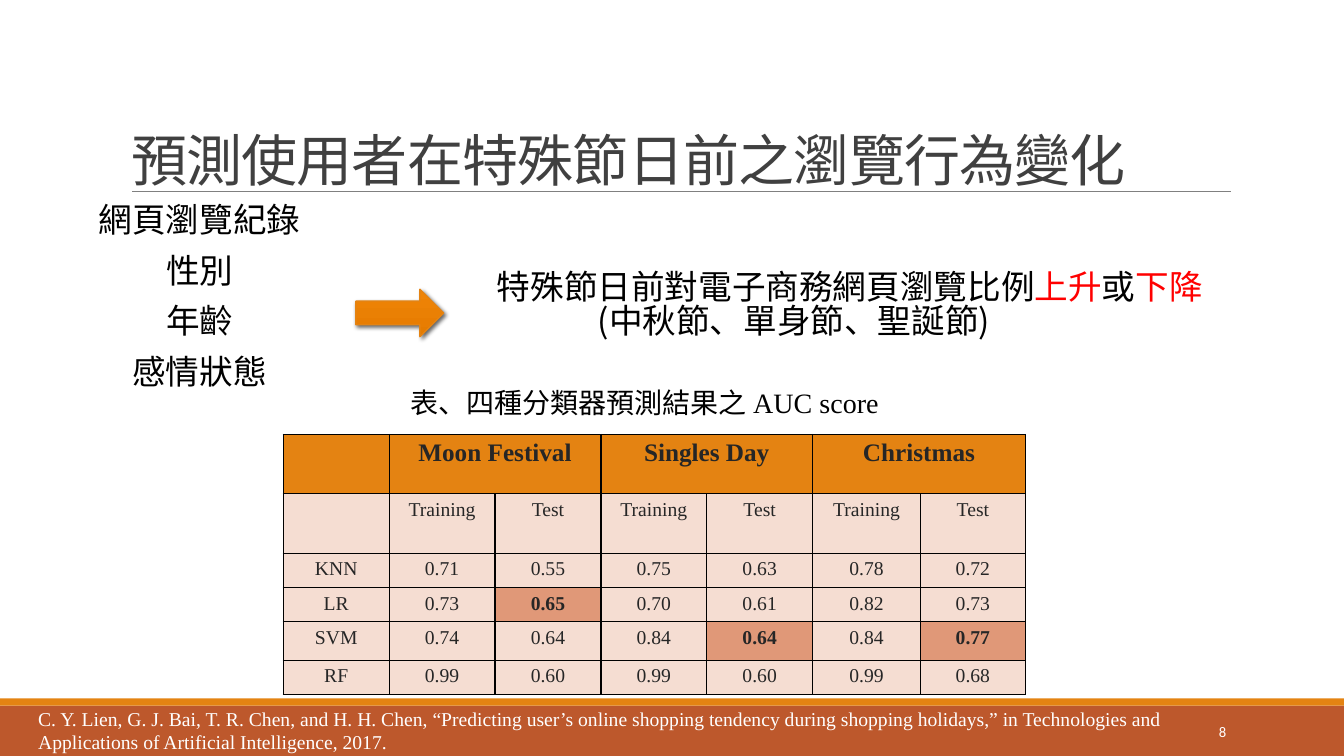
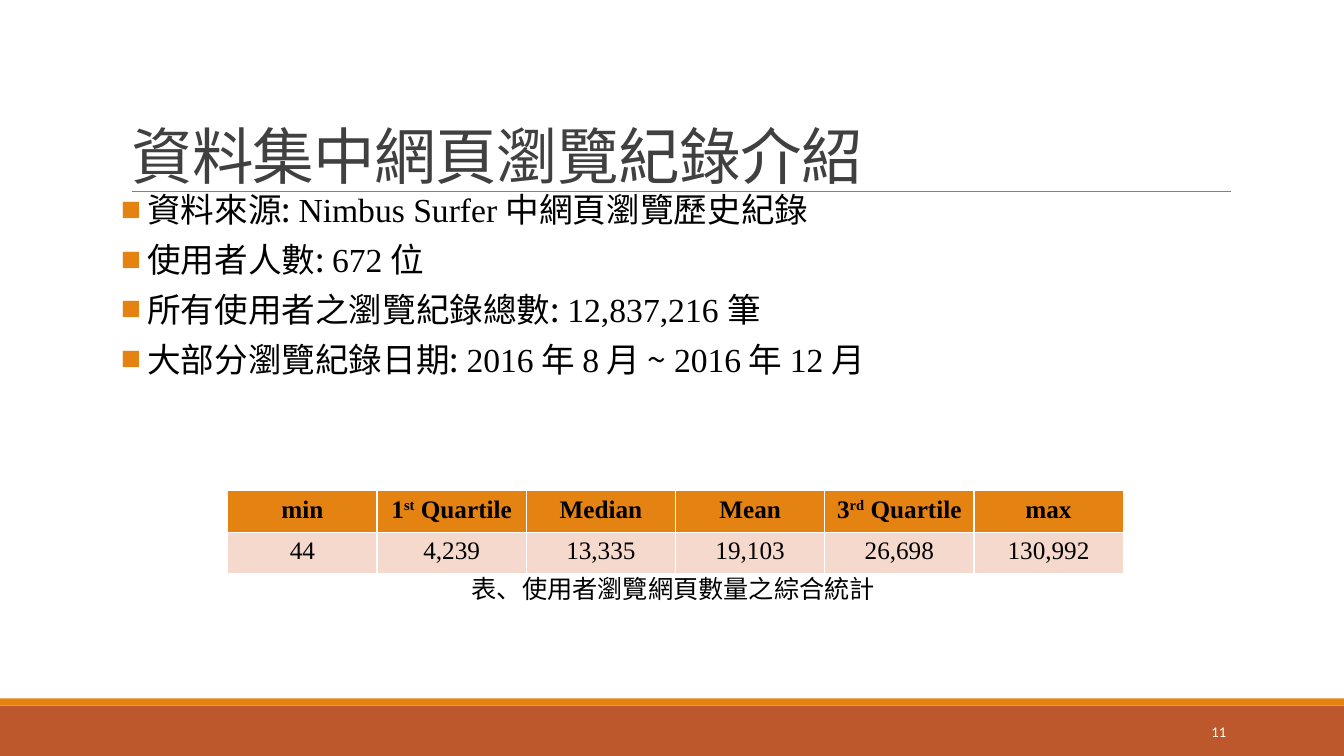
from lxml import etree
from pptx import Presentation
from pptx import util as u
from pptx.dml.color import RGBColor
from pptx.enum import shapes, text
from pptx.oxml import parse_xml
from pptx.oxml.ns import nsdecls, qn

ORANGE, RUST, GREY, DARK = "E48312", "BD582C", "808080", "404040"
BLACK, WHITE, RED, INK = "000000", "FFFFFF", "FF0000", "262626"
PALE, PEACH, SALMON = "F5DDD2", "F5D9CC", "E09878"
CJK, SERIF, SANS = "Noto Sans CJK SC", "Times New Roman", "Calibri"
LATIN = {"name": SERIF}
ALIGN = {"l": text.PP_ALIGN.LEFT, "c": text.PP_ALIGN.CENTER, "r": text.PP_ALIGN.RIGHT}


def rgb(color):
    return RGBColor.from_string(color)


def inches(*lengths):
    return [u.Inches(n) for n in lengths]


class Deck:
    """Holds the presentation, its style and the current slide."""

    def __init__(self):
        self.prs = Presentation()
        self.prs.slide_width, self.prs.slide_height = inches(13.33, 7.5)
        self.s = None

    def slide(self, layout, title, size, number):
        self.s = self.prs.slides.add_slide(self.prs.slide_layouts[layout])
        self.shape("RECTANGLE", (0, 7, 13.33, 0.5), RUST)
        self.shape("RECTANGLE", (0, 6.93, 13.33, 0.07), ORANGE)
        self.line(1.31, 1.9, 12.21, 1.9)
        self.placeholder(self.s.shapes.title, (1.2, 0.31, 11, 1.6),
                         {"vertical_anchor": text.MSO_ANCHOR.BOTTOM, "margin_bottom": 0})
        p = self.s.shapes.title.text_frame.paragraphs[0]
        self.fill_paragraph(p, title, line_spacing=0.85, size=size, color=DARK)
        p.runs[0].font._element.set("spc", "-50")
        self.text((10.83, 7.06, 1.43, 0.4), [str(number)], align="r", size=10.5,
                  name=SANS, color=WHITE, line_spacing=1,
                  frame={"vertical_anchor": text.MSO_ANCHOR.MIDDLE})

    def placeholder(self, sp, at, frame):
        sp.left, sp.top, sp.width, sp.height = inches(*at)
        frame = {"word_wrap": True, "auto_size": text.MSO_AUTO_SIZE.NONE, **frame}
        for key, value in frame.items():
            setattr(sp.text_frame, key, value)

    def shape(self, kind, at, fill):
        sp = self.s.shapes.add_shape(shapes.MSO_SHAPE[kind], *inches(*at))
        sp.shadow.inherit = False
        sp.fill.solid()
        sp.fill.fore_color.rgb = rgb(fill)
        sp.line.fill.background()
        return sp

    def arrow(self, at):
        sp = self.shape("RIGHT_ARROW", at, ORANGE)
        sp.fill.gradient()
        for stop, color in zip(sp.fill.gradient_stops, ("E57B00", "EF8407")):
            stop.color.rgb = rgb(color)
        sp.line.color.rgb = rgb(ORANGE)
        sp.line.width = u.Pt(1)
        effects = sp._element.spPr.find(qn("a:effectLst"))
        effects.append(parse_xml(
            f'<a:outerShdw {nsdecls("a")} blurRad="38100" dist="25400" dir="2700000">'
            f'<a:srgbClr val="{BLACK}"><a:alpha val="60000"/></a:srgbClr></a:outerShdw>'))

    def line(self, *ends):
        sp = self.s.shapes.add_connector(shapes.MSO_CONNECTOR.STRAIGHT, *inches(*ends))
        sp.line.color.rgb = rgb(GREY)
        sp.line.width = u.Pt(0.5)
        etree.SubElement(sp._element.spPr, qn("a:effectLst"))

    def fill_paragraph(self, p, content, align="l", line_spacing=None, **base):
        """Content is a string or a list of (text, format) pairs."""
        p.alignment = ALIGN[align]
        p.line_spacing = line_spacing
        for words, fmt in [(content, {})] if isinstance(content, str) else content:
            look = {"name": CJK, "color": BLACK, **base, **fmt}
            r = p.add_run()
            r.text = words
            r.font.color.rgb = rgb(look.pop("color"))
            raised = look.pop("raised", False)
            look["size"] = u.Pt(look["size"])
            for key, value in look.items():
                setattr(r.font, key, value)
            if raised:
                r.font._element.set("baseline", "30000")
            etree.SubElement(r.font._element, qn("a:ea"), typeface=CJK)

    def text(self, at, paragraphs, gap=0, frame=None, line_spacing=0.85, **fmt):
        sp = self.s.shapes.add_textbox(*inches(*at))
        tf = sp.text_frame
        for key, value in {"word_wrap": True, **(frame or {})}.items():
            setattr(tf, key, value)
        for i, content in enumerate(paragraphs):
            p = tf.add_paragraph() if i else tf.paragraphs[0]
            if i and gap:
                p.space_before = u.Pt(gap)
            self.fill_paragraph(p, content, line_spacing=line_spacing, **fmt)
        return tf

    def bullets(self, at, items):
        sp = self.s.placeholders[1]
        self.placeholder(sp, at, {"margin_left": 0, "margin_right": 0})
        tf = sp.text_frame
        for i, content in enumerate(items):
            p = tf.add_paragraph() if i else tf.paragraphs[0]
            pPr = p._p.get_or_add_pPr()
            pPr.set("marL", str(u.Inches(0.26)))
            pPr.set("indent", str(-u.Inches(0.26)))
            color = etree.SubElement(pPr, qn("a:buClr"))
            etree.SubElement(color, qn("a:srgbClr"), val=ORANGE)
            etree.SubElement(pPr, qn("a:buChar"), char="■")
            p.space_before = u.Pt(12 if i else 0)
            p.space_after = u.Pt(2)
            self.fill_paragraph(p, content, line_spacing=0.75, size=24)

    def table(self, at, cols, rows, cells, look, spans=()):
        """look(row, column) gives a cell's fill, text format and borders."""
        frame = self.s.shapes.add_table(len(rows), len(cols),
                                        *inches(*at, sum(cols), sum(rows)))
        tbl = frame.table
        tbl.first_row = tbl.horz_banding = False
        for col, width in zip(tbl.columns, cols):
            col.width = u.Inches(width)
        for row, height in zip(tbl.rows, rows):
            row.height = u.Inches(height)
        for i, values in enumerate(cells):
            for j, content in enumerate(values):
                cell = tbl.cell(i, j)
                fill, fmt, borders = look(i, j)
                cell.fill.solid()
                cell.fill.fore_color.rgb = rgb(fill)
                self.borders(cell, *borders)
                if content:
                    self.fill_paragraph(cell.text_frame.paragraphs[0], content,
                                        align="c", name=SERIF, **fmt)
        for i, first, last in spans:
            tbl.cell(i, first).merge(tbl.cell(i, last))

    def borders(self, cell, color, **widths):
        tcPr = cell._tc.get_or_add_tcPr()
        for n, side in enumerate("LRTB"):
            width = u.Pt(widths.get(side, 1))
            tcPr.insert(n, parse_xml(
                f'<a:ln{side} {nsdecls("a")} w="{width}"><a:solidFill>'
                f'<a:srgbClr val="{color}"/></a:solidFill></a:ln{side}>'.replace(
                    "<a:solidFill>", "<a:solidFill>", 1)))


def borders_args(color):
    return (color,)


def prediction_slide(d):
    d.slide(5, "預測使用者在特殊節日前之瀏覽行為變化", 40, 8)
    d.text((0.78, 1.99, 2.4, 2.22), ["網頁瀏覽紀錄", "性別", "年齡", "感情狀態"],
           gap=11.5, align="c", size=24)
    d.arrow((3.53, 2.87, 0.87, 0.47))
    tf = d.text((4.83, 2.65, 7.6, 0.91), [
        [("特殊節日前對電子商務網頁瀏覽比例", {}), ("上升", {"color": RED}),
         ("或", {}), ("下降", {"color": RED})],
        "(中秋節、單身節、聖誕節)"], size=24)
    tf.paragraphs[1]._p.get_or_add_pPr().set("marL", str(u.Inches(1)))

    best = {(3, 2), (4, 4), (4, 6)}

    def look(i, j):
        fill = ORANGE if i == 0 else SALMON if (i, j) in best else PALE
        fmt = {"size": 14 if i else 18, "bold": i == 0 or (i, j) in best, "color": INK}
        return fill, fmt, (BLACK,)

    d.table((2.81, 4.31), [1.05] * 5 + [1.07, 1.04], [0.59, 0.59, 0.34, 0.34, 0.38, 0.34], [
        ["", "Moon Festival", "", "Singles Day", "", "Christmas", ""],
        [""] + ["Training", "Test"] * 3,
        ["KNN", "0.71", "0.55", "0.75", "0.63", "0.78", "0.72"],
        ["LR", "0.73", "0.65", "0.70", "0.61", "0.82", "0.73"],
        ["SVM", "0.74", "0.64", "0.84", "0.64", "0.84", "0.77"],
        ["RF", "0.99", "0.60", "0.99", "0.60", "0.99", "0.68"],
    ], look, spans=[(0, j, j + 1) for j in (1, 3, 5)])
    d.text((3.97, 3.83, 5.4, 0.44),
           [[("表、四種分類器預測結果之 ", {}), ("AUC score", LATIN)]], size=20)
    d.text((0.28, 6.96, 11.73, 0.57), [
        "C. Y. Lien, G. J. Bai, T. R. Chen, and H. H. Chen, “Predicting user’s online "
        "shopping tendency during shopping holidays,” in Technologies and Applications "
        "of Artificial Intelligence, 2017."],
        size=14, name=SERIF, color=WHITE, line_spacing=1)


def data_slide(d):
    d.slide(1, "資料集中網頁瀏覽紀錄介紹", 44, 11)
    d.bullets((1.2, 1.92, 11, 4.4), [
        [("資料來源: ", {}), ("Nimbus Surfer 中", LATIN), ("網頁瀏覽歷史紀錄", {})],
        [("使用者人數: ", {}), ("672", LATIN), (" 位", {})],
        [("所有使用者之瀏覽紀錄總數: ", {}), ("12,837,216 ", LATIN), ("筆", {})],
        [("大部分瀏覽紀錄日期: ", {}), ("2016", LATIN), (" 年 ", {}), ("8", LATIN),
         (" 月 ~ ", {}), ("2016", LATIN), (" 年 ", {}), ("12", LATIN), (" 月", {})],
    ])

    def quartile(digit, suffix):
        return [(digit, {}), (suffix, {"raised": True}), (" Quartile", {})]

    def look(i, j):
        return PEACH if i else ORANGE, {"size": 18, "bold": i == 0}, (WHITE,)

    d.table((2.26, 4.87), [1.48] * 6, [0.41] * 2, [
        ["min", quartile("1", "st"), "Median", "Mean", quartile("3", "rd"), "max"],
        ["44", "4,239", "13,335", "19,103", "26,698", "130,992"],
    ], look)
    d.text((4.58, 5.68, 4.6, 0.4), ["表、使用者瀏覽網頁數量之綜合統計"], size=18)


def main():
    d = Deck()
    prediction_slide(d)
    data_slide(d)
    d.prs.save("out.pptx")


if __name__ == "__main__":
    main()
